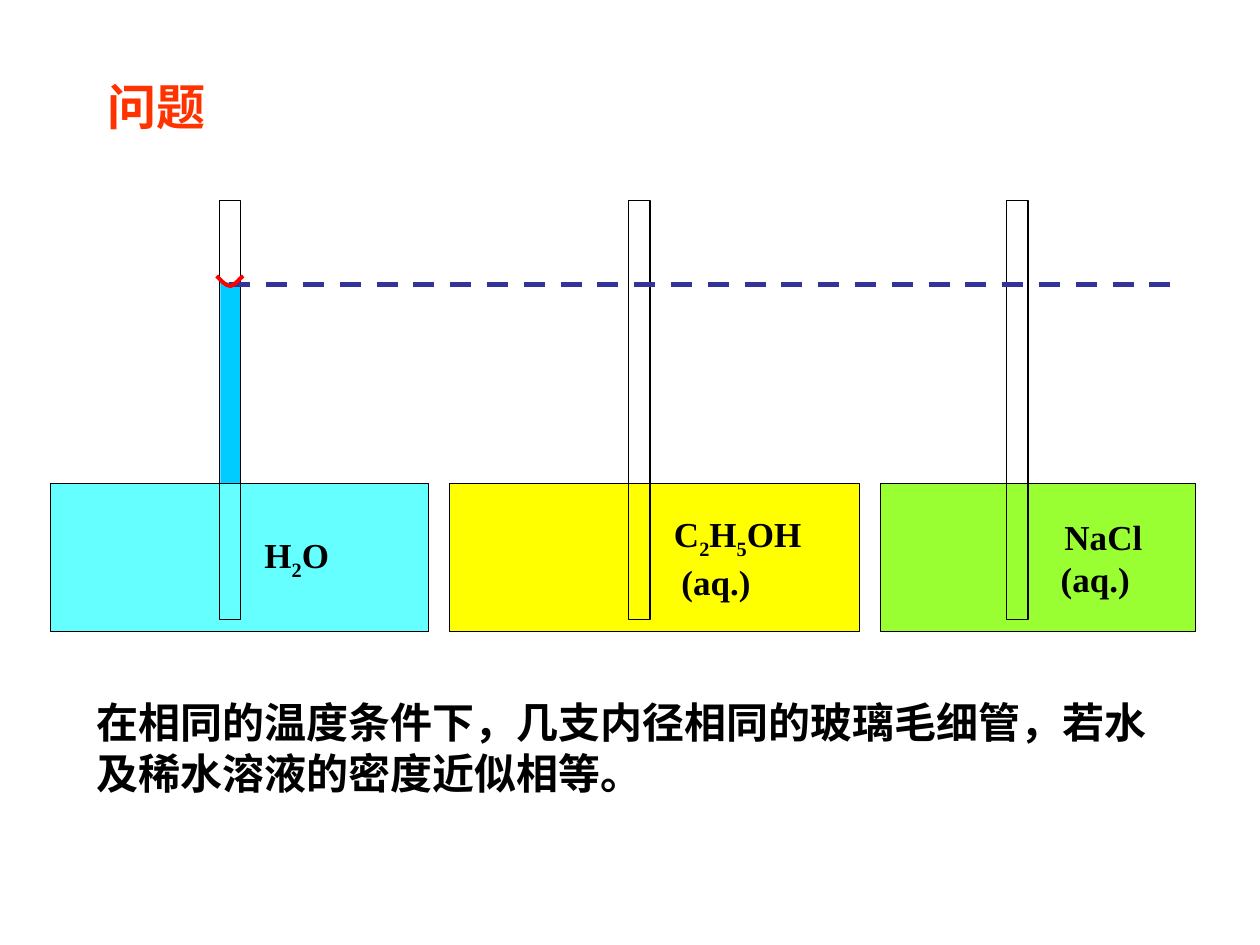
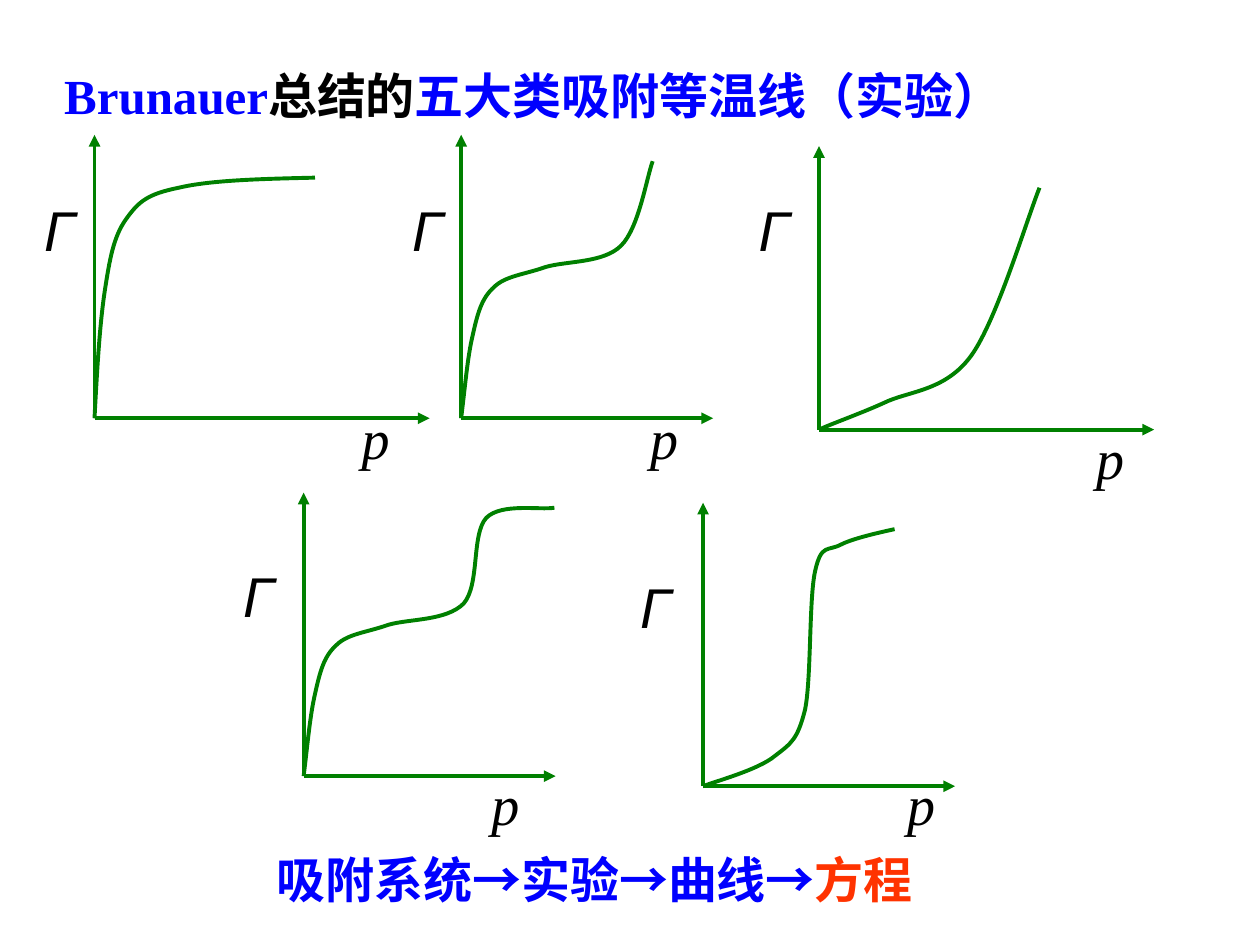
"""Build two slides on capillary rise and adsorption isotherms."""
from lxml import etree
from pptx import Presentation
from pptx.dml.color import RGBColor
from pptx.enum import dml, shapes, text
from pptx.oxml import ns
from pptx.util import Inches, Pt

BLACK = RGBColor(0x00, 0x00, 0x00)
BLUE = RGBColor(0x00, 0x00, 0xFF)
ORANGE = RGBColor(0xFF, 0x33, 0x00)
GREEN = RGBColor(0x00, 0x80, 0x00)
RED = RGBColor(0xFF, 0x00, 0x00)
INDIGO = RGBColor(0x33, 0x33, 0x99)
WATER = RGBColor(0x00, 0xCC, 0xFF)
CYAN = RGBColor(0x66, 0xFF, 0xFF)
YELLOW = RGBColor(0xFF, 0xFF, 0x00)
LIME = RGBColor(0x99, 0xFF, 0x33)

SERIF, SANS, CJK = "Times New Roman", "Arial", "Noto Sans CJK SC"
TITLE_SIZE = 28
AXIS_HEIGHT = 2.25

TANK_TOP, TANK_HEIGHT = 3.84, 1.17
TUBE_TOP, TUBE_WIDTH, TUBE_HEIGHT = 1.59, 0.17, 3.33
TANKS = [
    (0.4, 3, CYAN, 1.74, [(1.6, "H2O")]),
    (3.57, 3.25, YELLOW, 4.99, [(1.68, "C2H5OH"), (1.74, "(aq.)")]),
    (6.99, 2.5, LIME, 7.99, [(1.36, "NaCl"), (1.33, "(aq.)")]),
]

KNEE = [(0, 0), (0.03, 0.24), (0.05, 0.48), (0.09, 0.65), (0.13, 0.83),
        (0.16, 0.95), (0.26, 1.04), (0.35, 1.13), (0.5, 1.14), (0.67, 1.2),
        (0.84, 1.25), (1.13, 1.23), (1.27, 1.37)]
TYPE_1 = [(0, 0), (0.02, 0.37), (0.04, 0.73), (0.08, 1), (0.12, 1.26),
          (0.15, 1.44), (0.25, 1.58), (0.35, 1.72), (0.42, 1.78),
          (0.67, 1.83), (0.92, 1.89), (1.33, 1.9), (1.75, 1.91)]
TYPE_2 = KNEE + [(1.41, 1.51), (1.47, 1.9), (1.52, 2.04)]
TYPE_3 = [(0, 0), (0.08, 0.04), (0.31, 0.12), (0.51, 0.21), (0.71, 0.31),
          (1, 0.3), (1.21, 0.59), (1.41, 0.87), (1.64, 1.64), (1.75, 1.92)]
TYPE_4 = KNEE + [(1.4, 1.52), (1.33, 1.92), (1.45, 2.05), (1.57, 2.17),
                 (1.88, 2.11), (1.99, 2.13)]
TYPE_5 = [(0, 0), (0.1, 0.04), (0.44, 0.13), (0.57, 0.24), (0.7, 0.34),
          (0.75, 0.37), (0.81, 0.61), (0.86, 0.86), (0.84, 1.49),
          (0.89, 1.71), (0.94, 1.93), (0.99, 1.86), (1.1, 1.92),
          (1.2, 1.97), (1.43, 2.02), (1.52, 2.04)]
ISOTHERMS = [
    ((0.75, 3.32), 2.66, TYPE_1, (0.35, 1.55), (2.87, 3.2)),
    ((3.66, 3.32), 2, TYPE_2, (3.27, 1.55), (5.16, 3.2)),
    ((6.5, 3.41), 2.66, TYPE_3, (6.02, 1.55), (8.7, 3.36)),
    ((2.41, 6.16), 2, TYPE_4, (1.93, 4.46), (3.9, 6.11)),
    ((5.58, 6.24), 2, TYPE_5, (5.08, 4.54), (7.2, 6.11)),
]


def add_run(p, words, size, color=BLACK, font=SERIF, bold=True, italic=False):
    """Append a formatted run with a matching East Asian font."""
    r = p.add_run()
    r.text = words
    f = r.font
    f.size, f.bold, f.italic, f.name = Pt(size), bold, italic, font
    f.color.rgb = color
    etree.SubElement(r._r.get_or_add_rPr(), ns.qn("a:ea"), typeface=CJK)
    return r


def set_frame(tf, inset=0.0, anchor=text.MSO_ANCHOR.MIDDLE):
    """Set wrapping, margins and anchor; return the first paragraph."""
    tf.word_wrap = True
    tf.auto_size = text.MSO_AUTO_SIZE.NONE
    tf.vertical_anchor = anchor
    tf.margin_left = tf.margin_right = Inches(inset)
    tf.margin_top = tf.margin_bottom = Inches(inset / 2)
    return tf.paragraphs[0]


def add_text(s, box, inset=0.0, anchor=text.MSO_ANCHOR.MIDDLE):
    """Add a text box and return its first paragraph."""
    sp = s.shapes.add_textbox(*map(Inches, box))
    return set_frame(sp.text_frame, inset, anchor)


def add_titled_slide(prs, box, runs, inset=0.0):
    """Add a title-only slide whose title holds coloured runs."""
    s = prs.slides.add_slide(prs.slide_layouts[5])
    sp = s.shapes.title
    sp.left, sp.top, sp.width, sp.height = map(Inches, box)
    p = set_frame(sp.text_frame, inset)
    p.alignment = text.PP_ALIGN.LEFT
    for words, color in runs:
        add_run(p, words, TITLE_SIZE, color)
    return s


def add_rect(s, box, fill=None, outlined=True):
    """Add a rectangle, unfilled unless a colour is given."""
    sp = s.shapes.add_shape(shapes.MSO_SHAPE.RECTANGLE, *map(Inches, box))
    sp.shadow.inherit = False
    if fill is None:
        sp.fill.background()
    else:
        sp.fill.solid()
        sp.fill.fore_color.rgb = fill
    if outlined:
        sp.line.color.rgb = BLACK
        sp.line.width = Pt(0.75)
    else:
        sp.line.fill.background()
    return sp


def add_line(s, start, end, color, width, dashed=False, arrow=False):
    """Add a straight line, optionally dashed or with an arrowhead."""
    c = s.shapes.add_connector(shapes.MSO_CONNECTOR.STRAIGHT,
                               *map(Inches, (*start, *end)))
    c.line.color.rgb = color
    c.line.width = Pt(width)
    if dashed:
        c.line.dash_style = dml.MSO_LINE.DASH
    if arrow:
        etree.SubElement(c.line._get_or_add_ln(), ns.qn("a:tailEnd"), type="triangle")
    etree.SubElement(c._element.spPr, ns.qn("a:effectLst"))


def round_segments(sp):
    """Turn each three line segments of a freeform into one cubic Bezier."""
    segments = list(sp._element.iter(ns.qn("a:lnTo")))
    for i in range(0, len(segments), 3):
        first, *others = segments[i:i + 3]
        curve = etree.Element(ns.qn("a:cubicBezTo"))
        first.addprevious(curve)
        for segment in (first, *others):
            curve.append(segment[0])
            segment.getparent().remove(segment)


def add_curve(s, origin, controls, color):
    """Draw a smooth open curve given by offsets right of and above an origin."""
    points = [(Inches(origin[0] + x), Inches(origin[1] - y)) for x, y in controls]
    builder = s.shapes.build_freeform(*points[0])
    builder.add_line_segments(points[1:], close=False)
    sp = builder.convert_to_shape()
    round_segments(sp)
    sp.shadow.inherit = False
    sp.fill.background()
    sp.line.color.rgb = color
    sp.line.width = Pt(2.25)


def add_formula(p, formula):
    """Write a chemical formula with its digits as subscripts."""
    if formula.isalnum() and not formula.isalpha():
        pieces = formula.replace("2", " 2 ").replace("5", " 5 ").split()
    else:
        pieces = [formula]
    for piece in pieces:
        r = add_run(p, piece, 20)
        if piece.isdigit():
            r.font._element.set("baseline", "-25000")


def add_tank(s, left, width, fill, tube_left, lines):
    """Add a labelled liquid tank with a capillary tube standing in it."""
    sp = add_rect(s, (left, TANK_TOP, width, TANK_HEIGHT), fill)
    p = set_frame(sp.text_frame, 0.1)
    for i, (indent, formula) in enumerate(lines):
        if i:
            p = sp.text_frame.add_paragraph()
        p.alignment = text.PP_ALIGN.LEFT
        p._p.get_or_add_pPr().set("marL", str(Inches(indent)))
        add_formula(p, formula)
    add_rect(s, (tube_left, TUBE_TOP, TUBE_WIDTH, TUBE_HEIGHT))


def add_isotherm(s, origin, axis_width, controls, gamma_at, p_at):
    """Add one isotherm plot with its axes and axis labels."""
    x, y = origin
    add_line(s, origin, (x + axis_width, y), GREEN, 2.25, arrow=True)
    add_line(s, origin, (x, y - AXIS_HEIGHT), GREEN, 2.25, arrow=True)
    add_curve(s, origin, controls, GREEN)
    for label, font, at, width in (("Γ", SANS, gamma_at, 0.39), ("p", SERIF, p_at, 0.55)):
        p = add_text(s, (*at, width, 0.53), anchor=text.MSO_ANCHOR.TOP)
        add_run(p, label, 32, font=font, bold=False, italic=True)


def build_capillary_slide(prs):
    """Build the question about capillary rise in three liquids."""
    s = add_titled_slide(prs, (0.75, 0.36, 8.5, 0.96), [("问题", ORANGE)], 0.1)
    add_rect(s, (1.75, 2.24, 0.16, 2.69), WATER, outlined=False)
    for tank in TANKS:
        add_tank(s, *tank)
    add_line(s, (1.82, 2.26), (9.4, 2.26), INDIGO, 3, dashed=True)
    meniscus = [(0, 0), (0.04, -0.04), (0.07, -0.08), (0.11, -0.08),
                (0.14, -0.08), (0.19, -0.01), (0.21, 0)]
    add_curve(s, (1.72, 2.19), meniscus, RED)
    p = add_text(s, (0.67, 5.48, 8.74, 0.9), 0.1)
    p.line_spacing = Pt(28.8)
    add_run(p, "在相同的温度条件下，几支内径相同的玻璃毛细管，若水及稀水溶液的密度近似相等。",
            24, font=CJK)


def build_isotherm_slide(prs):
    """Build the overview of the five adsorption isotherms."""
    s = add_titled_slide(prs, (0.51, 0.52, 8.51, 0.47), [
        ("Brunauer", BLUE), ("总结的", BLACK), ("五大类吸附等温线（实验）", BLUE)])
    for isotherm in ISOTHERMS:
        add_isotherm(s, *isotherm)
    p = add_text(s, (1.69, 6.74, 6.06, 0.47))
    p.alignment = text.PP_ALIGN.CENTER
    for words in ("吸附系统", "实验", "曲线"):
        add_run(p, words, TITLE_SIZE, BLUE, CJK)
        add_run(p, "→", TITLE_SIZE, BLUE, SANS)
    add_run(p, "方程", TITLE_SIZE, ORANGE, CJK)


def main():
    """Create and save the presentation."""
    prs = Presentation()
    prs.slide_width, prs.slide_height = Inches(10), Inches(7.5)
    build_capillary_slide(prs)
    build_isotherm_slide(prs)
    prs.save("out.pptx")


if __name__ == "__main__":
    main()
